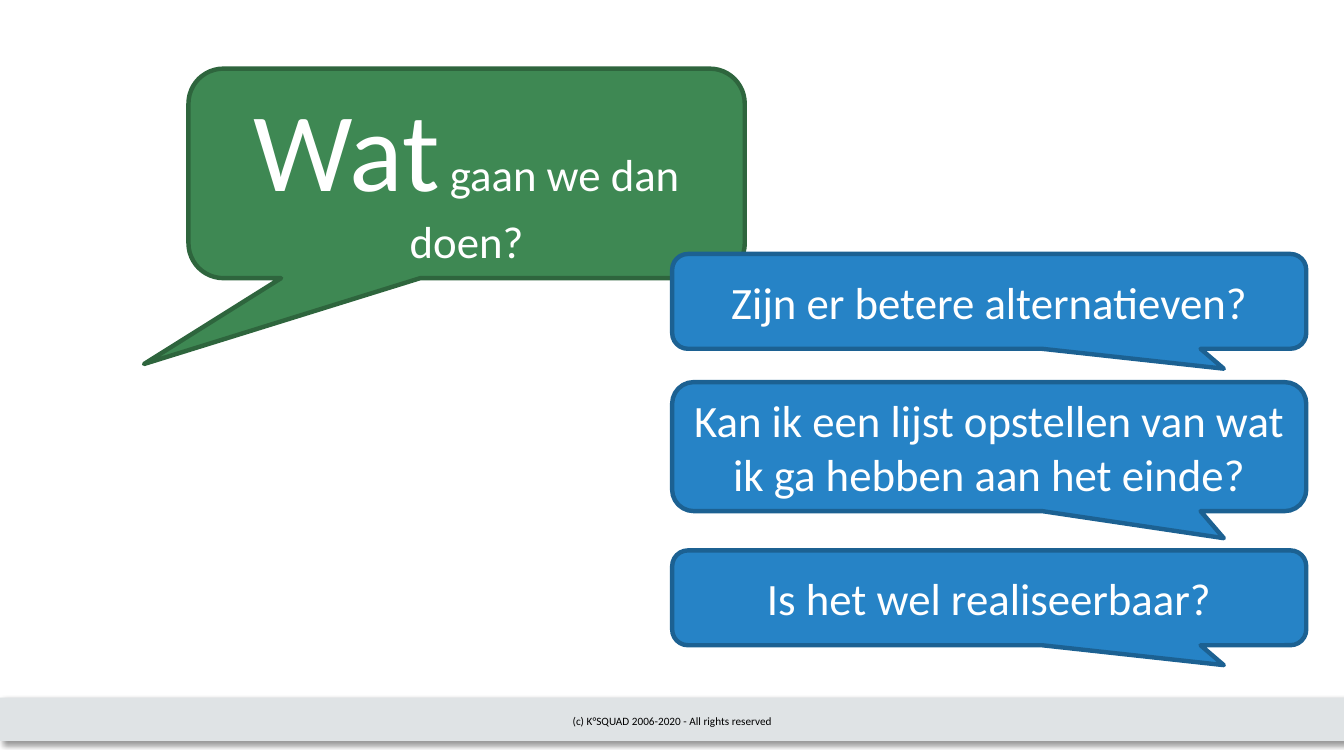
from lxml.etree import SubElement
from pptx import Presentation
from pptx.dml.color import RGBColor
from pptx.enum.shapes import MSO_SHAPE
from pptx.enum.text import MSO_ANCHOR, PP_ALIGN
from pptx.oxml.ns import qn
from pptx.util import Cm, Pt

FONT = "Calibri"
GREEN, BLUE = ("3E8853", "2E653D"), ("2683C6", "1C6192")
MAIN_QUESTION = [("Wat", 80), (" gaan we dan doen?", 32)]
# top and height in cm
SUB_QUESTIONS = [
    ("Zijn er betere alternatieven?", 6.4, 2.39),
    ("Kan ik een lijst opstellen van wat ik ga hebben aan het einde?", 9.63, 3.25),
    ("Is het wel realiseerbaar?", 13.87, 2.39),
]
COPYRIGHT = "(c) K°SQUAD 2006-2020 - All rights reserved"


def rgb(value):
    return RGBColor.from_string(value)


def write(shape, parts, color):
    """Fill a shape with one centred paragraph of (text, size) runs."""
    tf = shape.text_frame
    tf.word_wrap = True
    tf.vertical_anchor = MSO_ANCHOR.MIDDLE
    p = tf.paragraphs[0]
    p.alignment = PP_ALIGN.CENTER
    for text, size in parts:
        r = p.add_run()
        r.text = text
        r.font.name = FONT
        r.font.size = Pt(size)
        r.font.color.rgb = rgb(color)


def add_callout(box, tip, colors, parts):
    """Add a speech bubble; tip is its point relative to the centre."""
    sp = s.shapes.add_shape(MSO_SHAPE.ROUNDED_RECTANGULAR_CALLOUT, *map(Cm, box))
    sp.adjustments[0], sp.adjustments[1] = tip
    sp.shadow.inherit = False
    sp.fill.solid()
    sp.fill.fore_color.rgb = rgb(colors[0])
    sp.line.color.rgb = rgb(colors[1])
    sp.line.width = Pt(3.15)
    write(sp, parts, "FFFFFF")


def add_shadow(shape):
    shape.shadow.inherit = False
    effects = shape._element.spPr.find(qn("a:effectLst"))
    shadow = SubElement(effects, qn("a:outerShdw"), blurRad=str(Pt(4)),
                        dist=str(Pt(3)), dir=str(45 * 60000), rotWithShape="0")
    color = SubElement(shadow, qn("a:srgbClr"), val="000000")
    SubElement(color, qn("a:alpha"), val="40000")


prs = Presentation()
prs.slide_width, prs.slide_height = Cm(33.87), Cm(19.05)
s = prs.slides.add_slide(prs.slide_layouts[6])

bar = s.shapes.add_shape(MSO_SHAPE.RECTANGLE, 0, Cm(17.58), prs.slide_width, Cm(1.09))
bar.fill.solid()
bar.fill.fore_color.rgb = rgb("DFE3E5")
bar.line.fill.background()
add_shadow(bar)
footer = s.shapes.add_textbox(Cm(11.23), Cm(17.65), Cm(11.43), Cm(1.02))
write(footer, [(COPYRIGHT, 8)], "000000")

add_callout((4.75, 1.73, 14.02, 5.28), (-0.58, 0.91), GREEN, MAIN_QUESTION)
for text, top, height in SUB_QUESTIONS:
    add_callout((16.94, top, 15.98, height), (0.37, 0.71), BLUE, [(text, 32)])

prs.save("out.pptx")
